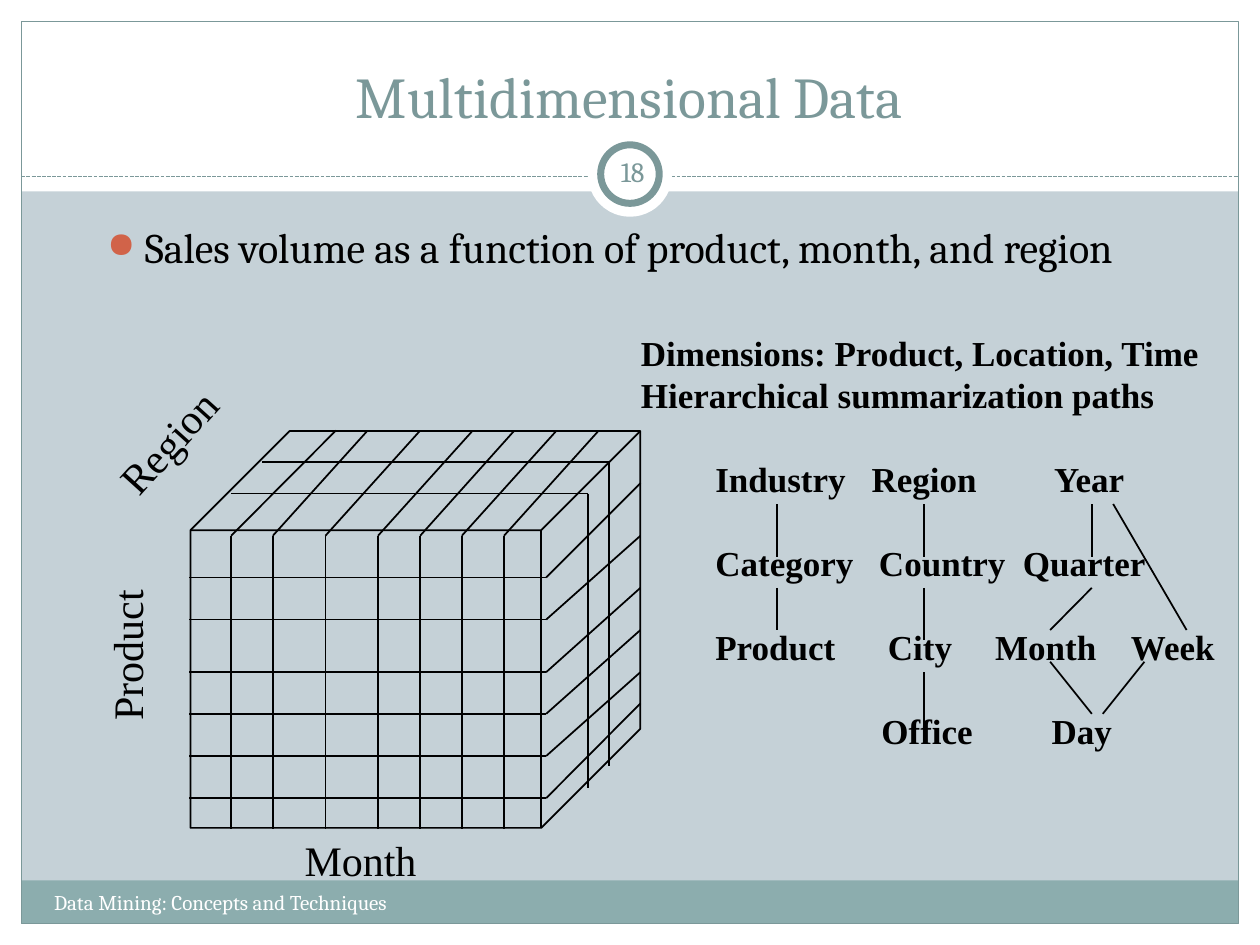
from dataclasses import dataclass
from lxml.etree import SubElement
from pptx import Presentation
from pptx.dml.color import RGBColor
from pptx.enum.dml import MSO_LINE
from pptx.enum.shapes import MSO_CONNECTOR, MSO_SHAPE
from pptx.enum.text import MSO_ANCHOR, PP_ALIGN
from pptx.oxml.ns import qn
from pptx.util import Cm, Pt


@dataclass(frozen=True)
class Theme:
    serif: str = "Cambria"
    label: str = "Times New Roman"
    backdrop: str = "C5D1D7"
    white: str = "FFFFFF"
    black: str = "000000"
    slate: str = "7B9899"
    footer: str = "8CADAE"
    bullet: str = "D16349"
    title_size: int = 33
    body_size: int = 24
    path_size: int = 20
    number_size: int = 16
    footer_size: int = 12


THEME = Theme()
WIDTH, HEIGHT, MARGIN = 25.4, 19.05, 0.43

TITLE = "Multidimensional Data"
FOOTER = "Data Mining: Concepts and Techniques"
NUMBER = "18"
STATEMENT = "Sales volume as a function of product, month, and region"
SUMMARY = ["Dimensions: Product, Location, Time", "Hierarchical summarization paths"]
AXES = [
    ("Product", (0.97, 12.57, 3.15, 1.27), 270),
    ("Region", (1.91, 8.26, 2.95, 1.27), 312),
    ("Month", (5.89, 16.69, 2.77, 1.27), 0),
]
HIERARCHY = [
    ("Industry\tRegion\tYear", (3.15, 6.83)),
    ("Category\tCountry\tQuarter", (3.3, 6.2)),
    ("Product\tCity\tMonth\tWeek", (3.48, 5.64, 8.38)),
    ("\tOffice\tDay", (3.35, 6.78)),
]
HIERARCHY_LINKS = [
    (15.66, 10.16, 15.66, 11.22),
    (18.63, 10.16, 18.63, 11.22),
    (22.01, 10.16, 22.01, 11.22),
    (15.66, 11.85, 15.66, 12.7),
    (18.63, 11.85, 18.63, 12.91),
    (18.63, 13.55, 18.63, 14.61),
    (22.01, 11.85, 21.17, 12.7),
    (22.44, 10.16, 23.92, 12.7),
    (21.17, 13.34, 22.01, 14.39),
    (23.07, 13.34, 22.23, 14.39),
]

CUBE = (3.84, 8.69, 9.07, 8)
FRONT_LEFT, FRONT_RIGHT, FRONT_TOP, FRONT_BOTTOM = 3.81, 11.01, 10.8, 16.72
BACK_RIGHT, BACK_TOP = 12.91, 8.68
MONTHS = [(4.66, 6.77), (5.5, 7.41), (6.56, 8.47), (7.62, 9.53),
          (8.47, 10.37), (9.31, 11.22), (10.16, 12.07)]
PRODUCTS = [(11.64, 9.74), (12.49, 10.8), (13.55, 11.85),
            (14.39, 12.7), (15.24, 13.55), (16.09, 14.18)]
REGIONS = [(5.29, 9.31, 12.28, 15.45), (4.66, 9.95, 11.85, 15.88)]


def color(code):
    return RGBColor.from_string(code)


def add_text(slide, text, box, *, size, font=THEME.serif, ink=THEME.black, bold=False,
             align=PP_ALIGN.LEFT, anchor=MSO_ANCHOR.TOP, inset=0.25, wrap=True,
             rotation=0, line=None, gap=0, stops=(), bullet=None):
    area = slide.shapes.add_textbox(*map(Cm, box))
    area.rotation = rotation
    frame = area.text_frame
    frame.word_wrap = wrap
    frame.vertical_anchor = anchor
    frame.margin_left = frame.margin_right = Cm(inset)
    frame.margin_top = frame.margin_bottom = Cm(0.13)
    lines = [text] if isinstance(text, str) else text
    for index, content in enumerate(lines):
        paragraph = frame.paragraphs[0] if index == 0 else frame.add_paragraph()
        paragraph.text = content
        paragraph.alignment = align
        if line:
            paragraph.line_spacing = Pt(line)
        if index:
            paragraph.space_before = Pt(gap)
        properties = paragraph._p.get_or_add_pPr()
        if bullet:
            properties.set("marL", str(Cm(0.76)))
            properties.set("indent", str(-Cm(0.76)))
            SubElement(SubElement(properties, qn("a:buClr")), qn("a:srgbClr"), val=bullet)
            SubElement(properties, qn("a:buSzPct"), val="85000")
            SubElement(properties, qn("a:buChar"), char="●")
        if stops:
            tabs = SubElement(properties, qn("a:tabLst"))
            for stop in stops[index]:
                SubElement(tabs, qn("a:tab"), pos=str(Cm(stop)), algn="l")
        for run in paragraph.runs:
            run.font.name = font
            run.font.size = Pt(size)
            run.font.bold = bold
            run.font.color.rgb = color(ink)


def add_figure(slide, preset, box, fill=None, outline=None, weight=0.75):
    figure = slide.shapes.add_shape(preset, *map(Cm, box))
    figure.shadow.inherit = False
    if fill:
        figure.fill.solid()
        figure.fill.fore_color.rgb = color(fill)
    else:
        figure.fill.background()
    if outline:
        figure.line.color.rgb = color(outline)
        figure.line.width = Pt(weight)
    else:
        figure.line.fill.background()


def add_line(slide, ends, ink=THEME.black, weight=1, dash=None):
    connector = slide.shapes.add_connector(MSO_CONNECTOR.STRAIGHT, *map(Cm, ends))
    connector.line.color.rgb = color(ink)
    connector.line.width = Pt(weight)
    if dash:
        connector.line.dash_style = dash
    SubElement(connector._element.spPr, qn("a:effectLst"))


def add_frame(slide):
    inner = WIDTH - 2 * MARGIN
    right = WIDTH - MARGIN
    for box in [(0, HEIGHT - MARGIN, WIDTH, MARGIN), (0, 0, WIDTH, 3.86),
                (0, 0, MARGIN, HEIGHT), (right, 0, MARGIN, HEIGHT)]:
        add_figure(slide, MSO_SHAPE.RECTANGLE, box, THEME.white)
    add_figure(slide, MSO_SHAPE.RECTANGLE, (MARGIN, 17.75, inner, 0.87), THEME.footer)
    add_figure(slide, MSO_SHAPE.RECTANGLE, (MARGIN, MARGIN, inner, HEIGHT - 2 * MARGIN),
               outline=THEME.slate)
    add_line(slide, (MARGIN, 3.56, right, 3.56), THEME.slate, 0.75, MSO_LINE.SQUARE_DOT)
    add_figure(slide, MSO_SHAPE.OVAL, (11.85, 2.67, 1.7, 1.7), THEME.white)
    add_figure(slide, MSO_SHAPE.OVAL, (12.11, 2.92, 1.18, 1.18), THEME.white, THEME.slate, 4)


def add_cube(slide):
    add_figure(slide, MSO_SHAPE.CUBE, CUBE, outline=THEME.black, weight=1)
    for front, back in PRODUCTS:
        add_line(slide, (FRONT_LEFT, front, FRONT_RIGHT, front))
        add_line(slide, (FRONT_RIGHT, front, BACK_RIGHT, back))
    for front, back in MONTHS:
        add_line(slide, (front, FRONT_TOP, front, FRONT_BOTTOM))
        add_line(slide, (front, FRONT_TOP, back, BACK_TOP))
    for left, top, right, bottom in REGIONS:
        add_line(slide, (left, top, right, top))
        add_line(slide, (right, top, right, bottom))
    for name, box, rotation in AXES:
        add_text(slide, name, box, size=THEME.body_size, font=THEME.label,
                 rotation=rotation, wrap=False)


def main():
    deck = Presentation()
    deck.slide_width, deck.slide_height = Cm(WIDTH), Cm(HEIGHT)
    slide = deck.slides.add_slide(deck.slide_layouts[6])
    slide.background.fill.solid()
    slide.background.fill.fore_color.rgb = color(THEME.backdrop)

    add_frame(slide)
    add_text(slide, TITLE, (0.84, 0.64, 23.7, 2.11), size=THEME.title_size, ink=THEME.slate,
             align=PP_ALIGN.CENTER, anchor=MSO_ANCHOR.BOTTOM)
    add_text(slide, FOOTER, (0.84, 17.81, 9.96, 1.02), size=THEME.footer_size, ink=THEME.white)
    add_text(slide, NUMBER, (12.12, 2.84, 1.27, 1.22), size=THEME.number_size, ink=THEME.slate,
             align=PP_ALIGN.CENTER, anchor=MSO_ANCHOR.MIDDLE, inset=0.13)
    add_text(slide, STATEMENT, (1.91, 4.34, 22.23, 12.7), size=THEME.body_size,
             bullet=THEME.bullet)
    add_cube(slide)
    add_text(slide, SUMMARY, (12.67, 6.55, 11.81, 1.96), size=THEME.path_size,
             font=THEME.label, bold=True, wrap=False, line=24)
    add_text(slide, [row for row, _ in HIERARCHY], (14.17, 9.09, 10.67, 6.2),
             size=THEME.path_size, font=THEME.label, bold=True, line=24, gap=24,
             stops=[stops for _, stops in HIERARCHY])
    for link in HIERARCHY_LINKS:
        add_line(slide, link)
    deck.save("out.pptx")


if __name__ == "__main__":
    main()
